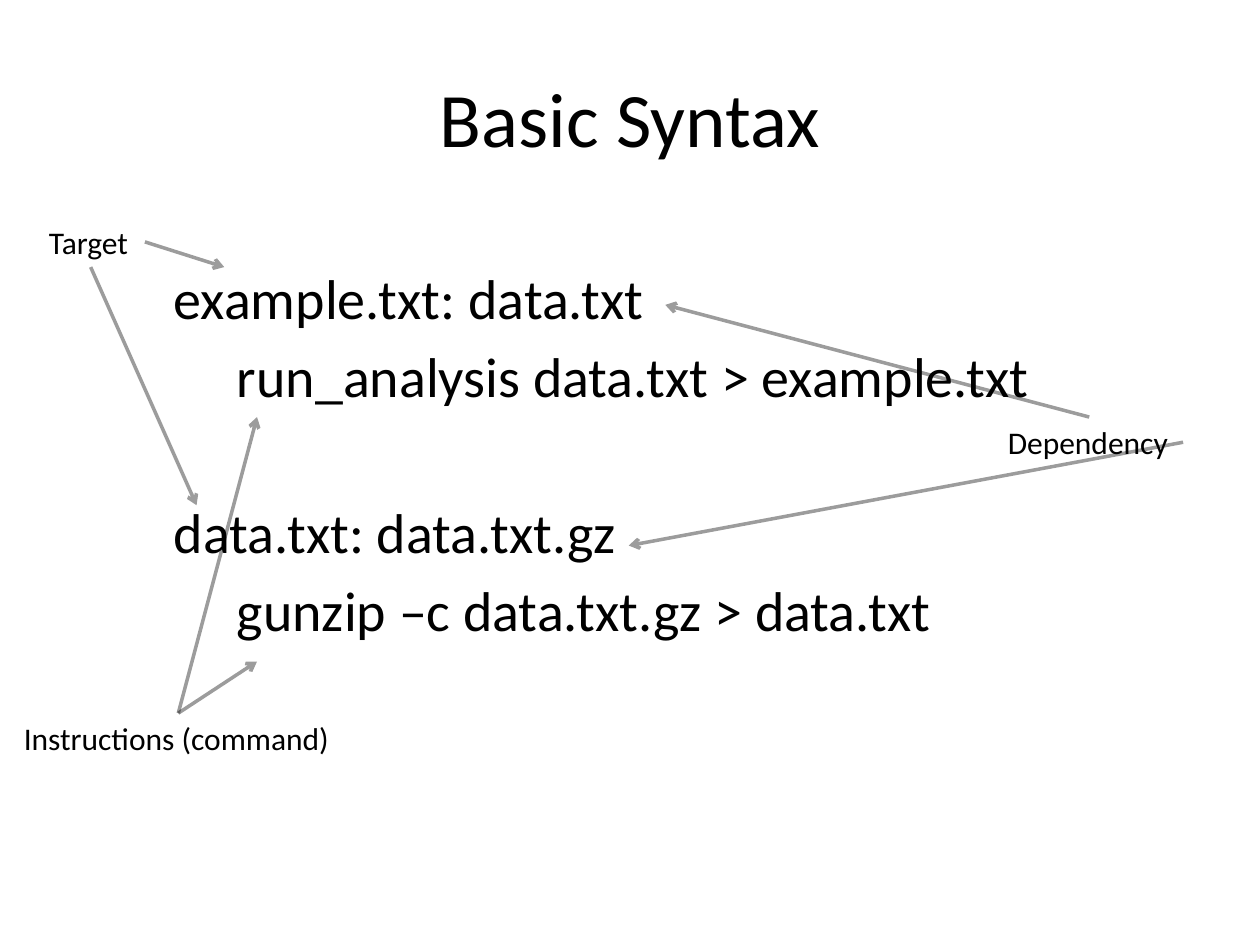
from lxml.etree import SubElement
from pptx import Presentation
from pptx.dml.color import RGBColor
from pptx.enum.shapes import MSO_CONNECTOR as Connector
from pptx.enum.text import MSO_ANCHOR as Anchor, MSO_AUTO_SIZE as AutoSize, PP_ALIGN as Align
from pptx.oxml.ns import qn
from pptx.util import Inches, Pt

BLACK = RGBColor(0x00, 0x00, 0x00)
FONT = "Calibri"
COLUMNS, ROWS = 100, 75
TOP, BOTTOM, RIGHT = 0, 2, 3


def write(para, text, size, align=Align.LEFT, before=0, indent=0):
    para.alignment = align
    para.space_before = Pt(before)
    properties = para._p.get_or_add_pPr()
    properties.set("marL", str(indent))
    properties.set("indent", "0")
    SubElement(properties, qn("a:buNone"))
    span = para.add_run()
    span.text = text
    span.font.name = FONT
    span.font.size = Pt(size)
    span.font.color.rgb = BLACK


class SyntaxPage:
    def __init__(self, deck):
        self.page = deck.slides.add_slide(deck.slide_layouts[1])
        self.column = deck.slide_width / COLUMNS
        self.row = deck.slide_height / ROWS

    def x(self, columns):
        return round(columns * self.column)

    def y(self, rows):
        return round(rows * self.row)

    def place(self, box, left, top, width, height):
        box.left, box.top = self.x(left), self.y(top)
        box.width, box.height = self.x(width), self.y(height)

    def title(self, text, *area):
        box = self.page.shapes.title
        self.place(box, *area)
        box.text_frame.vertical_anchor = Anchor.MIDDLE
        write(box.text_frame.paragraphs[0], text, 44, align=Align.CENTER)

    def rules(self, rules, *area):
        box = self.page.placeholders[1]
        self.place(box, *area)
        frame = box.text_frame
        frame.auto_size = AutoSize.NONE
        for number, (header, command) in enumerate(rules):
            para = frame.add_paragraph() if number else frame.paragraphs[0]
            write(para, header, 32, before=51 if number else 6)
            write(frame.add_paragraph(), command, 32, before=6, indent=self.x(5))

    def label(self, text, left, top, width):
        box = self.page.shapes.add_textbox(self.x(left), self.y(top), self.x(width), self.y(4))
        box.text_frame.word_wrap = False
        box.text_frame.auto_size = AutoSize.SHAPE_TO_FIT_TEXT
        write(box.text_frame.paragraphs[0], text, 18)
        return box

    def arrow(self, box, side, column, row):
        end = self.x(column), self.y(row)
        arrow = self.page.shapes.add_connector(Connector.STRAIGHT, *end, *end)
        arrow.begin_connect(box, side)
        arrow.line.color.rgb = BLACK
        arrow.line.width = Pt(2)
        properties = arrow._element.spPr
        color = properties.find(".//" + qn("a:srgbClr"))
        SubElement(color, qn("a:alpha"), val="38000")
        SubElement(properties.find(qn("a:ln")), qn("a:tailEnd"), type="arrow")
        SubElement(properties, qn("a:effectLst"))


RULES = [
    ("example.txt: data.txt", "run_analysis data.txt > example.txt"),
    ("data.txt: data.txt.gz", "gunzip –c data.txt.gz > data.txt"),
]
LABELS = [
    ("Target", (2.9, 17.2, 8.6), [(RIGHT, 17.8, 21.2), (BOTTOM, 15.6, 40.1)]),
    ("Dependency", (79, 33.1, 14.9), [(TOP, 52.8, 24.2), (RIGHT, 49.9, 43.3)]),
    ("Instructions (command)", (0.9, 56.6, 26.5), [(TOP, 20.4, 52.5), (TOP, 20.4, 33.1)]),
]


def main():
    deck = Presentation()
    deck.slide_width, deck.slide_height = Inches(10), Inches(7.5)
    page = SyntaxPage(deck)
    page.title("Basic Syntax", 5, 3, 90, 12.5)
    page.rules(RULES, 12.8, 20.4, 74.6, 49.5)
    for text, area, arrows in LABELS:
        box = page.label(text, *area)
        for arrow in arrows:
            page.arrow(box, *arrow)
    deck.save("out.pptx")


if __name__ == "__main__":
    main()
